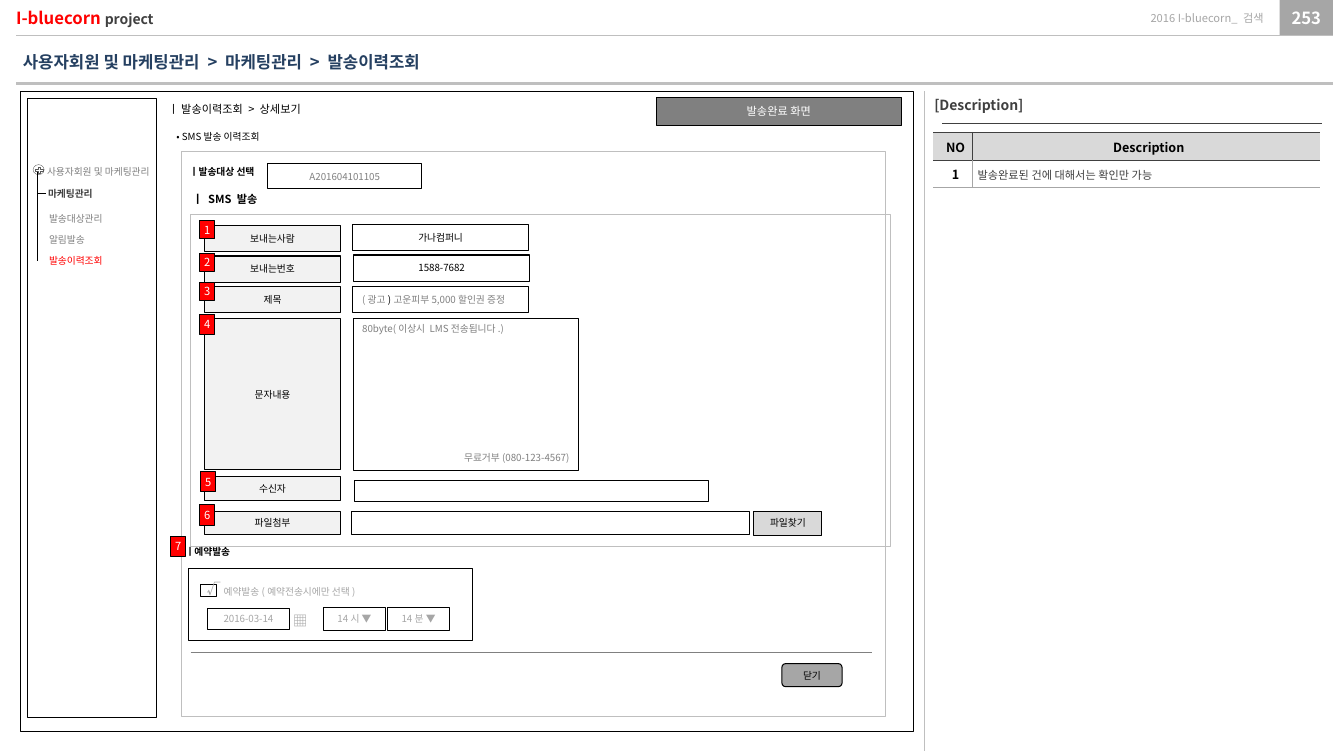
from lxml import etree
from pptx import Presentation
from pptx.dml.color import RGBColor
from pptx.enum.shapes import MSO_CONNECTOR, MSO_SHAPE
from pptx.enum.text import MSO_ANCHOR, PP_ALIGN
from pptx.oxml.ns import qn
from pptx.util import Inches, Pt

RECT, ROUND = MSO_SHAPE.RECTANGLE, MSO_SHAPE.ROUNDED_RECTANGLE
OVAL, PLUS = MSO_SHAPE.OVAL, MSO_SHAPE.MATH_PLUS
STRAIGHT = MSO_CONNECTOR.STRAIGHT
LEFT, CENTER, RIGHT = PP_ALIGN.LEFT, PP_ALIGN.CENTER, PP_ALIGN.RIGHT
TOP, MIDDLE = MSO_ANCHOR.TOP, MSO_ANCHOR.MIDDLE
COLUMNS, ROWS = 133.9, 74.8
FONT = "Noto Sans CJK KR"
COLORS = {
    "black": "000000", "white": "FFFFFF", "red": "FF0000", "navy": "254061",
    "ink": "404040", "slate": "595959", "gray": "808080", "mid": "A6A6A6",
    "rule": "BFBFBF", "button": "D9D9D9", "label": "F2F2F2",
}
FORMATS = {
    "small": {"size": Pt(7), "bold": False},
    "small bold": {"size": Pt(7), "bold": True},
    "body": {"size": Pt(8), "bold": False},
    "body bold": {"size": Pt(8), "bold": True},
    "table head": {"size": Pt(9), "bold": True},
    "heading": {"size": Pt(10), "bold": True},
    "icon": {"size": Pt(10.5), "bold": False},
    "title": {"size": Pt(12), "bold": True},
}


def grid(cells):
    return Inches(cells / 10)


def rgb(color):
    return RGBColor.from_string(COLORS[color])


class Wireframe:
    def __init__(self):
        self.deck = Presentation()
        self.deck.slide_width, self.deck.slide_height = grid(COLUMNS), grid(ROWS)
        self.slide = self.deck.slides.add_slide(self.deck.slide_layouts[6])

    def add_words(self, paragraph, words, style, color):
        run = paragraph.add_run()
        run.text = words
        for name, value in {**FORMATS[style], "name": FONT}.items():
            setattr(run.font, name, value)
        run.font.color.rgb = rgb(color)
        east_asian = etree.SubElement(run.font._element, qn("a:ea"))
        east_asian.set("typeface", FONT)

    def fill_frame(self, frame, paragraphs, align, anchor, inset, gap=0):
        layout = {
            "word_wrap": True, "vertical_anchor": anchor,
            "margin_left": grid(inset[0]), "margin_right": grid(inset[0]),
            "margin_top": grid(inset[1]), "margin_bottom": grid(inset[1]),
        }
        for name, value in layout.items():
            setattr(frame, name, value)
        for index, runs in enumerate(paragraphs):
            paragraph = frame.add_paragraph() if index else frame.paragraphs[0]
            paragraph.alignment = align
            if index and gap:
                paragraph.space_before = Pt(gap)
            for words, style, color in runs:
                self.add_words(paragraph, words, style, color)

    def text(self, place, *paragraphs, align=LEFT, anchor=TOP, inset=(1, 0.5), gap=0):
        box = self.slide.shapes.add_textbox(*map(grid, place))
        self.fill_frame(box.text_frame, paragraphs, align, anchor, inset, gap)

    def line_of(self, line, color, width):
        line.color.rgb = rgb(color)
        line.width = Pt(width)

    def shape(self, place, fill=None, line="black", width=0.75, kind=RECT,
              runs=(), align=CENTER, inset=(0, 0)):
        shape = self.slide.shapes.add_shape(kind, *map(grid, place))
        shape.shadow.inherit = False
        if fill:
            shape.fill.solid()
            shape.fill.fore_color.rgb = rgb(fill)
        else:
            shape.fill.background()
        if line:
            self.line_of(shape.line, line, width)
        else:
            shape.line.fill.background()
        if runs:
            self.fill_frame(shape.text_frame, [runs], align, MIDDLE, inset)

    def box(self, place, words, fill="white", color="black", style="small", kind=RECT):
        self.shape(place, fill, kind=kind, runs=[(words, style, color)])

    def rule(self, start, end, color="black", width=0.75):
        rule = self.slide.shapes.add_connector(STRAIGHT, *map(grid, (*start, *end)))
        self.line_of(rule.line, color, width)
        etree.SubElement(rule._element.spPr, qn("a:effectLst"))

    def border(self, cell, sides):
        properties = cell._tc.get_or_add_tcPr()
        for side in "LRTB":
            edge = etree.SubElement(properties, qn(f"a:ln{side}"), w=str(Pt(1)))
            if side in sides:
                paint = etree.SubElement(edge, qn("a:solidFill"))
                etree.SubElement(paint, qn("a:srgbClr"), val=COLORS[sides[side]])
            else:
                etree.SubElement(edge, qn("a:noFill"))

    def table(self, place, widths, heights, rows):
        table = self.slide.shapes.add_table(len(rows), len(widths), *map(grid, place)).table
        for column, width in zip(table.columns, widths):
            column.width = grid(width)
        for row, height, (fill, divider, bottom, cells) in zip(table.rows, heights, rows):
            row.height = grid(height)
            for index, (cell, (words, style, color, align)) in enumerate(zip(row.cells, cells)):
                self.border(cell, {"L" if index else "R": divider, "T": "ink", "B": bottom})
                cell.fill.solid()
                cell.fill.fore_color.rgb = rgb(fill)
                paragraph = cell.text_frame.paragraphs[0]
                paragraph.alignment = align
                self.add_words(paragraph, words, style, color)
                layout = {"margin_left": grid(0.5), "margin_right": 0, "margin_top": 0,
                          "margin_bottom": 0, "vertical_anchor": MIDDLE}
                for name, value in layout.items():
                    setattr(cell, name, value)


def page_frame(page):
    flush = {"anchor": MIDDLE, "inset": (0, 0)}
    page.shape((127.5, 0, 5.3, 3.5), "mid", None, runs=[("253", "title", "white")])
    page.rule((1.6, 8.3), (132.8, 8.3), "rule", 2.25)
    page.rule((1.6, 3.5), (132.8, 3.5), "rule", 0.25)
    page.text((103.2, 0, 22.7, 3.5), [("2016 I-bluecorn_ 검색", "body", "mid")], align=RIGHT, **flush)
    page.text((1.6, 0, 20.5, 3.5),
              [("I-bluecorn ", "title", "red"), ("project", "heading", "ink")], **flush)
    page.text((1.3, 4.7, 56.3, 3),
              [("사용자회원 및 마케팅관리 > 마케팅관리 > 발송이력조회", "title", "navy")])
    page.shape((2, 9.1, 89, 63.8))


def description(page):
    page.text((92.1, 9.1, 17.4, 2.7), [("[Description]", "heading", "ink")])
    page.rule((93.9, 12.3), (131.7, 12.3), "ink", 0.5)
    page.table((93, 13.2, 38.5, 5.5), (3.9, 34.6), (2.8, 2.7), [
        ("button", "ink", "ink", [("NO", "table head", "black", CENTER),
                                  ("Description", "table head", "black", CENTER)]),
        ("white", "mid", "mid", [("1", "table head", "black", CENTER),
                                 ("발송완료된 건에 대해서는 확인만 가능", "body", "ink", LEFT)]),
    ])
    page.rule((92.1, 9.1), (92.1, ROWS), "rule")


def menu(page):
    page.shape((2.7, 9.8, 12.9, 61.7), "white")
    page.shape((3.3, 16.4, 1.1, 1), "white", "slate", 0.25, OVAL)
    page.shape((3.4, 16.5, 1, 0.9), None, "slate", 0.25, PLUS)
    page.text((3.7, 16, 15.9, 2.2), [("사용자회원 및 마케팅관리", "small", "gray")])
    page.text((3.8, 18.2, 10.8, 2.2), [("마케팅관리", "small bold", "ink")])
    page.rule((3.7, 17.1), (3.7, 26))
    page.rule((3.8, 19.3), (4.6, 19.3))
    page.text((3.9, 20.7, 12.7, 6.9), [("발송대상관리", "small", "gray")],
              [("알림발송", "small", "gray")], [("발송이력조회", "small", "red")], gap=6.7)


def message_form(page):
    page.text((15.8, 9.7, 47.8, 2.4), [("ㅣ 발송이력조회 > 상세보기", "body", "black")])
    page.box((65.4, 9.7, 24.4, 2.8), "발송완료 화면", "gray", "white", "body")
    page.text((16.6, 12.5, 25.9, 2.2), [("• SMS발송 이력조회", "small", "black")])
    page.shape((18.1, 15.1, 70.1, 56.3), line="rule")
    page.text((18.1, 16, 8.8, 2.6), [("ㅣ발송대상 선택", "small bold", "black")], inset=(0.8, 0.5))
    page.box((26.7, 16.3, 15.3, 2.5), "A201604101105", color="gray")
    page.text((18.2, 18.7, 47.8, 2.4), [("ㅣ SMS 발송", "body bold", "black")])
    labels = [("보내는사람", 22.5, 2.6), ("보내는번호", 25.5, 2.6), ("제목", 28.5, 2.6),
              ("문자내용", 31.7, 15.1), ("수신자", 47.5, 2.4), ("파일첨부", 50.9, 2.3)]
    for words, top, height in labels:
        page.box((20.4, top, 13.5, height), words, "label")
    page.box((35.1, 22.4, 17.6, 2.6), "가나컴퍼니")
    page.box((35.2, 25.4, 17.6, 2.6), "1588-7682")
    page.shape((35.1, 28.5, 17.6, 2.6), "white", align=LEFT, inset=(1, 0), runs=[
        ("(광고", "small", "gray"), (")", "small", "black"),
        ("고운피부5,000할인권 증정", "small", "gray")])
    for place in ((35.2, 31.7, 22.4, 15.2), (35.3, 47.9, 35.3, 2.1), (35, 50.9, 39.7, 2.3)):
        page.shape(place, "white")
    page.text((35.2, 44.5, 22.5, 2.2), [("무료거부(080-123-4567)", "small", "gray")], align=RIGHT)
    page.text((35.1, 31.7, 17.7, 2.2), [("80byte(이상시 LMS전송됩니다.)", "small", "gray")])
    page.box((75.1, 50.9, 6.8, 2.4), "파일찾기", "button")
    page.shape((19, 21.4, 69.7, 33), line="rule")


def reservation(page):
    page.shape((18.8, 56.6, 28.3, 7.2), "white")
    page.text((21.3, 57.8, 24.6, 2.2), [("예약발송(예약전송시에만 선택)", "small", "mid")])
    page.box((20.7, 60.6, 8.1, 2.1), "2016-03-14", color="mid")
    page.text((28.2, 60.4, 3, 2.8), [("▦", "icon", "mid")])
    for left, words in ((32.2, "14시 ▼"), (38.6, "14분 ▼")):
        page.box((left, 60.5, 6.2, 2.3), words, color="mid")
    page.shape((20, 58.2, 1.6, 1.2), "white")
    page.text((19.6, 57.3, 8.9, 2.7), [("√", "heading", "mid")])
    page.text((17.5, 53.9, 8.8, 2.2), [("ㅣ예약발송", "small bold", "black")])
    page.rule((19, 65), (86.9, 65), "gray")
    page.box((77.9, 66.1, 6, 2.3), "닫기", "mid", kind=ROUND)


def markers(page):
    spots = [(19.9, 22, 1.8), (19.9, 25.2, 1.8), (19.9, 28.1, 1.8), (19.9, 31.3, 2),
             (20, 47, 2), (19.9, 50.3, 2), (17, 53.4, 2)]
    for number, (left, top, height) in enumerate(spots, 1):
        page.box((left, top, 1.5, height), str(number), "red", "white", "body")


def main():
    page = Wireframe()
    for part in (page_frame, description, menu, message_form, reservation, markers):
        part(page)
    page.deck.save("out.pptx")


if __name__ == "__main__":
    main()
